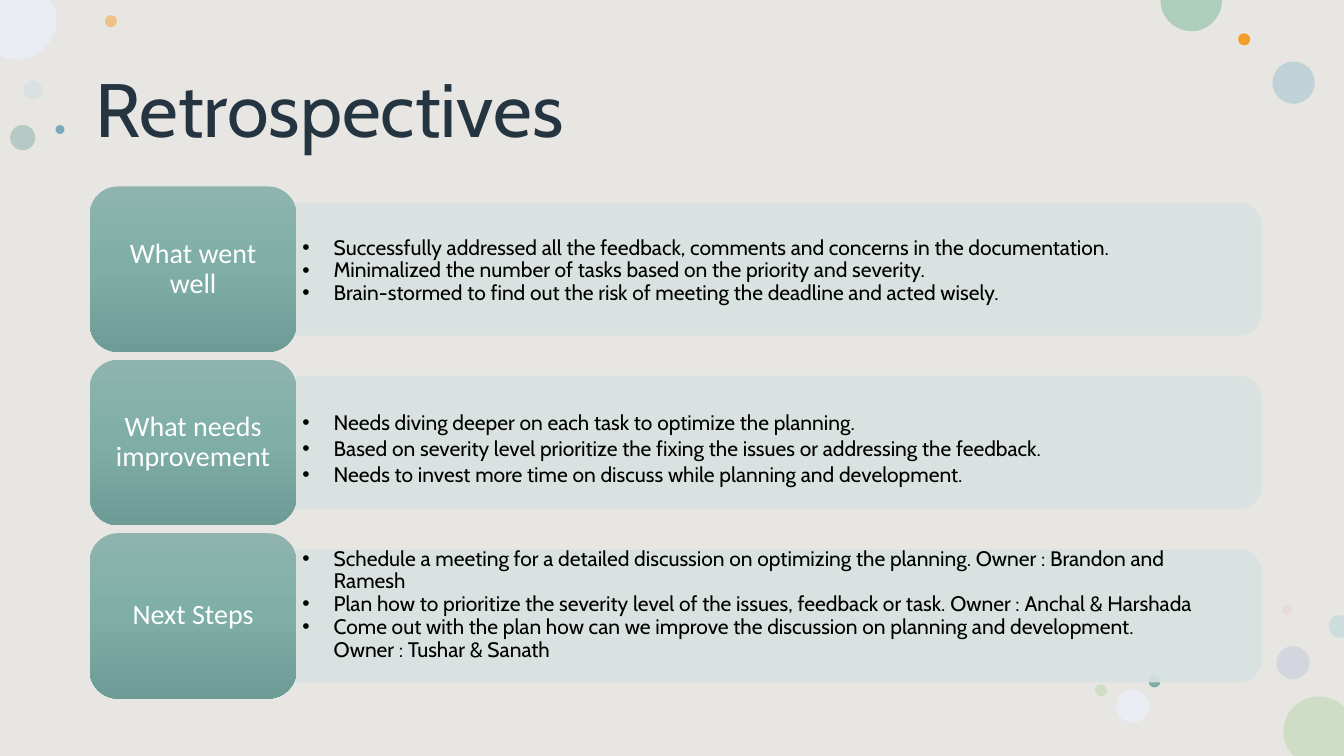
from copy import deepcopy

from lxml.etree import SubElement
from pptx import Presentation
from pptx.dml.color import RGBColor
from pptx.enum.shapes import MSO_SHAPE
from pptx.enum.text import MSO_ANCHOR, PP_ALIGN
from pptx.oxml.ns import qn
from pptx.util import Inches, Pt

SLIDE_WIDTH, SLIDE_HEIGHT = 13.33, 7.5
BACKGROUND = RGBColor(0xE8, 0xE6, 0xE2)
TITLE_COLOR = RGBColor(0x24, 0x34, 0x41)
BLACK = RGBColor(0, 0, 0)
WHITE = RGBColor(0xFF, 0xFF, 0xFF)
PANEL = RGBColor(0xD8, 0xE2, 0xE0)
LABEL_GRADIENT = [
    RGBColor(0x8F, 0xB4, 0xAF),
    RGBColor(0x7E, 0xAE, 0xA6),
    RGBColor(0x6D, 0x9B, 0x95),
]
ORANGE = RGBColor(0xF3, 0x9E, 0x29)
TEAL = RGBColor(0x82, 0xAC, 0xA6)
LAVENDER = RGBColor(0xE9, 0xEC, 0xF3)
SAGE = RGBColor(0xCF, 0xDD, 0xC6)
MINT = RGBColor(0xAC, 0xCE, 0xBB)
PALE_TEAL = RGBColor(0xCC, 0xDD, 0xDB)
PALE_BLUE = RGBColor(0xCA, 0xDC, 0xE3)
PERIWINKLE = RGBColor(0xBE, 0xC7, 0xDC)
SKY = RGBColor(0xB1, 0xCA, 0xD5)
BLUE = RGBColor(0x7F, 0xA9, 0xBA)
PINK = RGBColor(0xE3, 0xBE, 0xBE)

# left, top, diameter, color, opacity in percent
BUBBLES = [
    (0.23, 0.8, 0.19, PALE_BLUE, 49),
    (1.04, 0.15, 0.12, ORANGE, 49),
    (12.66, 6.41, 0.33, PERIWINKLE, 49),
    (0.1, 1.24, 0.25, TEAL, 49),
    (12.62, 0.61, 0.42, SKY, 71),
    (12.28, 0.33, 0.12, ORANGE, 100),
    (12.72, 6, 0.1, PINK, 27),
    (11.39, 6.7, 0.12, TEAL, 100),
    (11.07, 6.84, 0.33, LAVENDER, 100),
    (10.86, 6.79, 0.12, SAGE, 100),
    (0.55, 1.24, 0.09, BLUE, 100),
]
# color, start point, then segments: one point for a line, three for a Bézier curve
EDGE_BUBBLES = [
    (SAGE, (13.08, 6.91), [
        [(13.18, 6.91), (13.26, 6.95), (13.33, 7.01)],
        [(13.33, 7.5)],
        [(12.83, 7.5)],
        [(12.81, 7.48)],
        [(12.76, 7.42), (12.73, 7.34), (12.73, 7.26)],
        [(12.73, 7.06), (12.89, 6.91), (13.08, 6.91)],
    ]),
    (LAVENDER, (0, 0), [
        [(0.5, 0)],
        [(0.53, 0.05)],
        [(0.55, 0.09), (0.56, 0.14), (0.56, 0.2)],
        [(0.56, 0.41), (0.38, 0.59), (0.17, 0.59)],
        [(0.11, 0.59), (0.06, 0.58), (0.02, 0.56)],
        [(0, 0.55)],
    ]),
    (MINT, (11.52, 0), [
        [(12.12, 0)],
        [(12.12, 0.01)],
        [(12.12, 0.17), (11.98, 0.31), (11.82, 0.31)],
        [(11.65, 0.31), (11.51, 0.17), (11.51, 0.01)],
    ]),
    (PALE_TEAL, (13.29, 6.1), [
        [(13.33, 6.11)],
        [(13.33, 6.32)],
        [(13.29, 6.33)],
        [(13.23, 6.33), (13.18, 6.28), (13.18, 6.21)],
        [(13.18, 6.15), (13.23, 6.1), (13.29, 6.1)],
    ]),
]

LABEL_LEFT, LABEL_WIDTH, LABEL_HEIGHT = 0.89, 2.05, 1.64
FIRST_ROW_TOP, ROW_PITCH = 1.85, 1.72
PANEL_LEFT = LABEL_LEFT + LABEL_WIDTH
PANEL_WIDTH, PANEL_HEIGHT = 9.57, 1.31
TEXT_WIDTH, TEXT_HEIGHT = 9.4, 1.19

# label, bullets, center of the bullet text, space before each bullet
ROWS = [
    ("What went well", [
        "Successfully addressed all the feedback, comments and concerns in the documentation.",
        "Minimalized the number of tasks based on the priority and severity.",
        "Brain-stormed to find out the risk of meeting the deadline and acted wisely.",
    ], 2.69, 0),
    ("What needs improvement", [
        "Needs diving deeper on each task to optimize the planning.",
        "Based on severity level prioritize the fixing the issues or addressing the feedback.",
        "Needs to invest more time on discuss while planning and development.",
    ], 4.46, 2.2),
    ("Next Steps", [
        "Schedule a meeting for a detailed discussion on optimizing the planning. "
        "Owner : Brandon and Ramesh",
        "Plan how to prioritize the severity level of the issues, feedback or task. "
        "Owner : Anchal & Harshada",
        "Come out with the plan how can we improve the discussion on planning and development. \n"
        "Owner : Tushar & Sanath",
    ], 6, 0),
]


def set_solid(fill, color, opacity=100):
    fill.solid()
    fill.fore_color.rgb = color
    if opacity < 100:
        color_element = fill._xPr.find(".//" + qn("a:srgbClr"))
        SubElement(color_element, qn("a:alpha"), val=str(opacity * 1000))


def add_shape(slide, kind, left, top, width, height):
    shape = slide.shapes.add_shape(
        kind, Inches(left), Inches(top), Inches(width), Inches(height))
    shape.shadow.inherit = False
    shape.line.fill.background()
    return shape


def add_edge_bubble(slide, color, start, segments):
    """Draw a circle cut off at the slide's edge, with its three-point segments as curves."""
    builder = slide.shapes.build_freeform(Inches(start[0]), Inches(start[1]))
    builder.add_line_segments(
        [(Inches(x), Inches(y)) for segment in segments for x, y in segment])
    shape = builder.convert_to_shape()
    shape.shadow.inherit = False
    shape.line.fill.background()
    set_solid(shape.fill, color)
    lines = iter(shape._element.findall(".//" + qn("a:lnTo")))
    for segment in segments:
        first, *others = [next(lines) for _ in segment]
        if others:
            first.tag = qn("a:cubicBezTo")
            for line in others:
                first.append(line[0])
                line.getparent().remove(line)


def set_up_frame(text_frame, inset_x, inset_y):
    text_frame.word_wrap = True
    text_frame.vertical_anchor = MSO_ANCHOR.MIDDLE
    text_frame.margin_left = text_frame.margin_right = Inches(inset_x)
    text_frame.margin_top = text_frame.margin_bottom = Inches(inset_y)


def add_text_box(slide, left, top, width, height, inset_x, inset_y):
    box = slide.shapes.add_textbox(
        Inches(left), Inches(top), Inches(width), Inches(height))
    set_up_frame(box.text_frame, inset_x, inset_y)
    return box.text_frame


def format_paragraph(paragraph, font_name, size, color):
    paragraph.line_spacing = 0.9
    for run in paragraph.runs:
        run.font.name = font_name
        run.font.size = Pt(size)
        run.font.color.rgb = color


def add_bullet_mark(paragraph):
    properties = paragraph._p.get_or_add_pPr()
    properties.set("marL", str(Inches(0.31)))
    properties.set("indent", str(-Inches(0.31)))
    bullet_color = SubElement(properties, qn("a:buClr"))
    SubElement(bullet_color, qn("a:srgbClr"), val=str(BLACK))
    SubElement(properties, qn("a:buFont"), typeface="Arial")
    SubElement(properties, qn("a:buChar"), char="•")


def add_panel(slide, center_y):
    """Add a panel rounded on its right side: a top-rounded shape turned by 90 degrees."""
    panel = add_shape(
        slide, MSO_SHAPE.ROUND_2_SAME_RECTANGLE,
        PANEL_LEFT + (PANEL_WIDTH - PANEL_HEIGHT) / 2, center_y - PANEL_WIDTH / 2,
        PANEL_HEIGHT, PANEL_WIDTH)
    panel.rotation = 90
    panel.adjustments[0] = 0.17
    set_solid(panel.fill, PANEL, 89)
    set_solid(panel.line.fill, PANEL, 89)
    panel.line.width = Pt(0.75)


def add_bullets(slide, bullets, center_y, space_before):
    text_frame = add_text_box(
        slide, PANEL_LEFT, center_y - TEXT_HEIGHT / 2, TEXT_WIDTH, TEXT_HEIGHT, 0.06, 0.03)
    for index, bullet in enumerate(bullets):
        paragraph = text_frame.add_paragraph() if index else text_frame.paragraphs[0]
        paragraph.text = bullet
        add_bullet_mark(paragraph)
        format_paragraph(paragraph, "Cabin", 15, BLACK)
        if index and space_before:
            paragraph.space_before = Pt(space_before)


def add_label(slide, text, top):
    label = add_shape(
        slide, MSO_SHAPE.ROUNDED_RECTANGLE, LABEL_LEFT, top, LABEL_WIDTH, LABEL_HEIGHT)
    label.adjustments[0] = 0.17
    label.fill.gradient()
    label.fill.gradient_angle = 270
    stop_list = label._element.spPr.find(".//" + qn("a:gsLst"))
    stop_list.append(deepcopy(stop_list[-1]))
    for index, (stop, color) in enumerate(zip(label.fill.gradient_stops, LABEL_GRADIENT)):
        stop.position = index / 2
        stop.color.rgb = color
    set_up_frame(label.text_frame, 0.16, 0.12)
    label.text_frame.text = text
    paragraph = label.text_frame.paragraphs[0]
    paragraph.alignment = PP_ALIGN.CENTER
    format_paragraph(paragraph, "Calibri", 20, WHITE)


def main():
    presentation = Presentation()
    presentation.slide_width = Inches(SLIDE_WIDTH)
    presentation.slide_height = Inches(SLIDE_HEIGHT)
    slide = presentation.slides.add_slide(presentation.slide_layouts[6])
    backdrop = add_shape(slide, MSO_SHAPE.RECTANGLE, 0, 0, SLIDE_WIDTH, SLIDE_HEIGHT)
    set_solid(backdrop.fill, BACKGROUND)

    for left, top, diameter, color, opacity in BUBBLES:
        bubble = add_shape(slide, MSO_SHAPE.OVAL, left, top, diameter, diameter)
        set_solid(bubble.fill, color, opacity)
    for edge_bubble in EDGE_BUBBLES:
        add_edge_bubble(slide, *edge_bubble)

    title = add_text_box(slide, 0.85, 0.4, 11.66, 1.45, 0.1, 0.05)
    title.text = "Retrospectives"
    format_paragraph(title.paragraphs[0], "Cabin", 54, TITLE_COLOR)

    for index, (label, bullets, text_center, space_before) in enumerate(ROWS):
        top = FIRST_ROW_TOP + index * ROW_PITCH
        add_panel(slide, top + LABEL_HEIGHT / 2)
        add_bullets(slide, bullets, text_center, space_before)
        add_label(slide, label, top)
    presentation.save("out.pptx")


if __name__ == "__main__":
    main()
